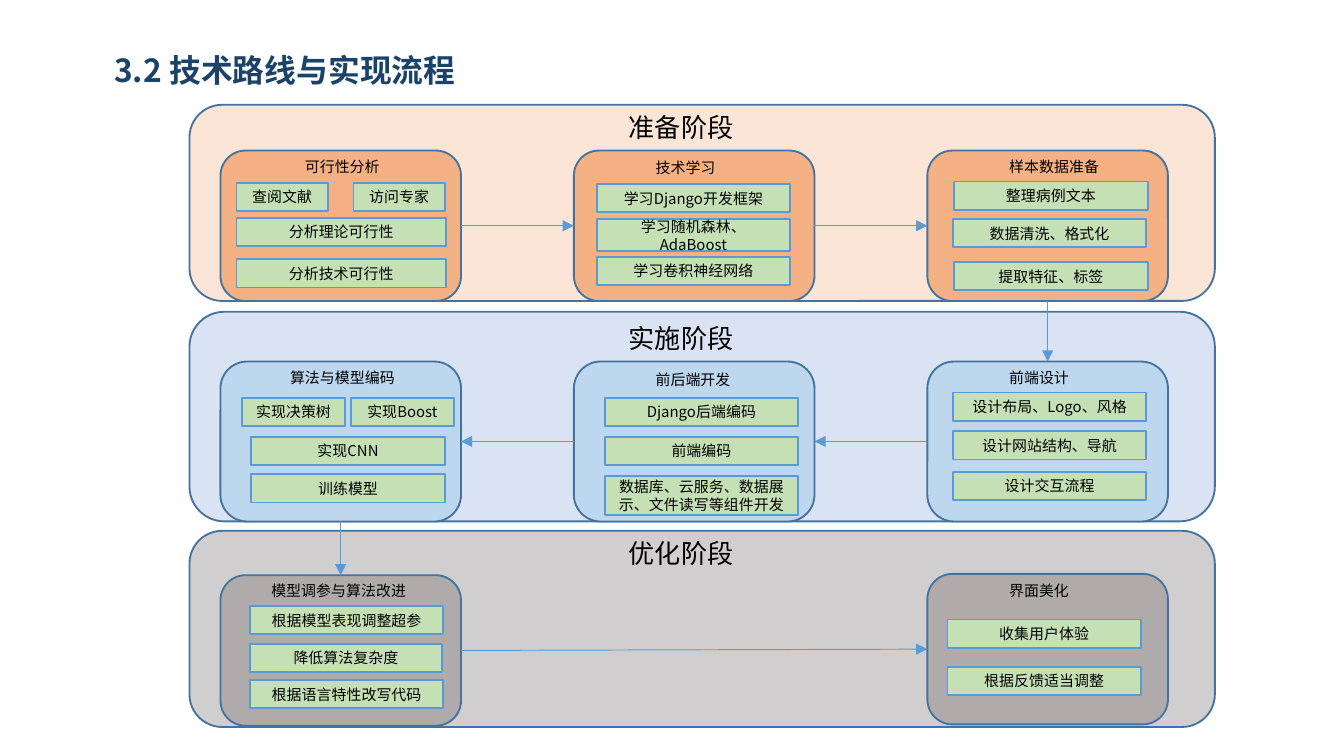
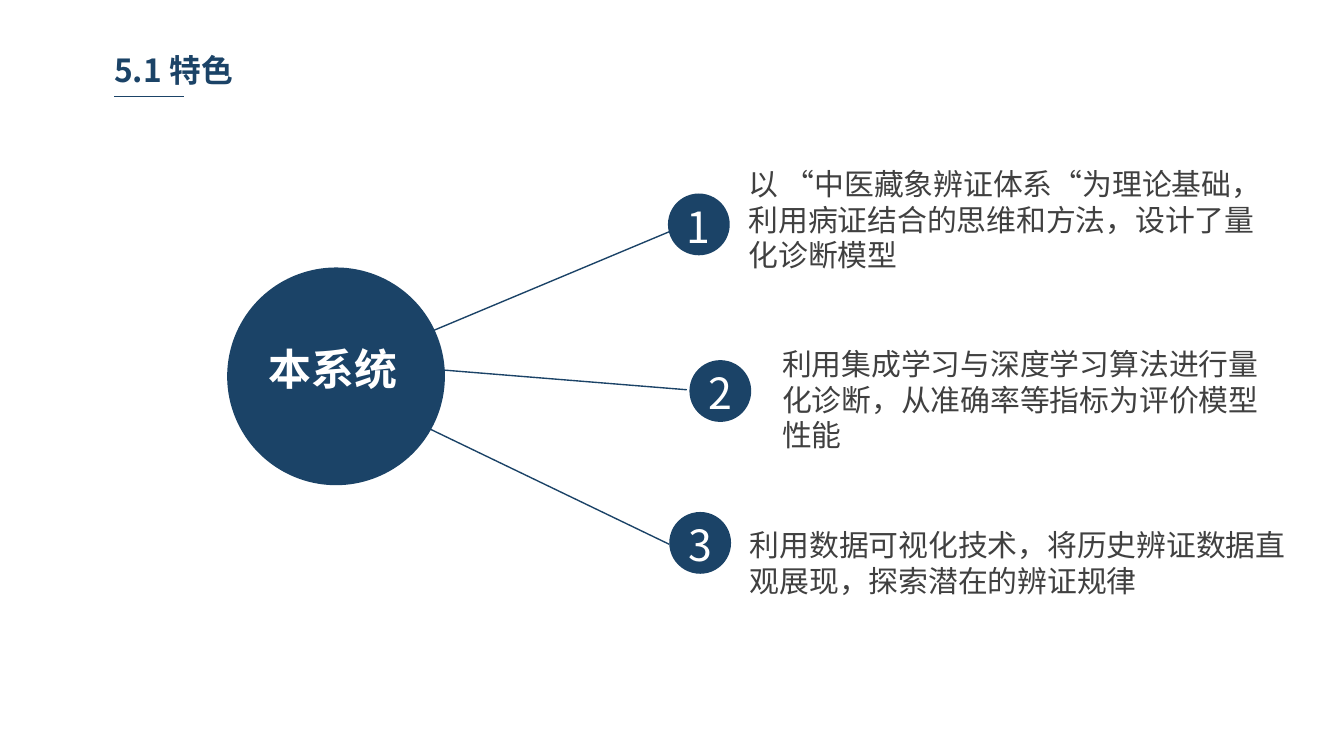
import pptx
import pptx.dml.color
import pptx.enum.shapes
import pptx.enum.text
import pptx.oxml.ns
import pptx.util
from lxml import etree

Inches = pptx.util.Inches
SHAPE = pptx.enum.shapes.MSO_SHAPE
ALIGN = pptx.enum.text.PP_ALIGN
ANCHOR = pptx.enum.text.MSO_ANCHOR
qn = pptx.oxml.ns.qn

FONT = "Noto Sans CJK SC"
NAVY, WHITE, BLACK, GREY = "1B4367", "FFFFFF", "000000", "404040"
FRAME, ARROW, TASK = "43739E", "5B9BD5", "C5E0B4"
TIGHT, NORMAL = (0.07, 0.04), (0.1, 0.05)
TOP, LEFT, BOTTOM, RIGHT = range(4)

COLUMN_LEFT, COLUMN_PITCH, MODULE_WIDTH = 1.64, 2.63, 1.79
PHASE_LEFT, PHASE_WIDTH = 1.41, 7.63

# Module: column, top in phase, height, label, label box (left, top, width),
# tasks (left, top, text, then width and height where they differ).
# Label and task positions are relative to the module.
PHASES = [
    ("准备阶段", 0.78, 1.46, 0, "FBE5D6", "F4B183", [
        (0, 0.34, 1.12, "可行性分析", (0.53, 0, 0.77), [
            (0.12, 0.24, "查阅文献", 0.68), (0.99, 0.24, "访问专家", 0.68),
            (0.12, 0.5, "分析理论可行性", 1.56),
            (0.12, 0.81, "分析技术可行性", 1.56)]),
        (1, 0.34, 1.12, "技术学习", (0.51, 0.01, 0.77), [
            (0.17, 0.25, "学习Django开发框架"),
            (0.17, 0.51, "学习随机森林、AdaBoost", 1.44, 0.24),
            (0.17, 0.79, "学习卷积神经网络")]),
        (2, 0.34, 1.12, "样本数据准备", (0.51, 0, 0.88), [
            (0.2, 0.23, "整理病例文本"),
            (0.19, 0.51, "数据清洗、格式化"),
            (0.2, 0.83, "提取特征、标签")]),
    ]),
    ("实施阶段", 2.32, 1.56, 0.03, "DAE3F3", "BDD7EE", [
        (2, 0.37, 1.19, "前端设计", (0.51, 0, 0.77), [
            (0.19, 0.23, "设计布局、Logo、风格"),
            (0.19, 0.52, "设计网站结构、导航"),
            (0.19, 0.82, "设计交互流程")]),
        (1, 0.37, 1.19, "前后端开发", (0.51, 0.02, 0.77), [
            (0.23, 0.27, "Django后端编码"),
            (0.23, 0.56, "前端编码"),
            (0.23, 0.85, "数据库、云服务、数据展示、文件读写等组件开发", 1.44, 0.29)]),
        (0, 0.37, 1.19, "算法与模型编码", (0.42, 0, 1.0), [
            (0.16, 0.27, "实现决策树", 0.77), (0.97, 0.27, "实现Boost", 0.77),
            (0.23, 0.56, "实现CNN"),
            (0.23, 0.84, "训练模型")]),
    ]),
    ("优化阶段", 3.95, 1.46, 0, "D0CECE", "AFABAB", [
        (0, 0.33, 1.12, "模型调参与算法改进", (0.28, 0, 1.22), [
            (0.22, 0.23, "根据模型表现调整超参"),
            (0.22, 0.51, "降低算法复杂度", 1.43),
            (0.22, 0.78, "根据语言特性改写代码")]),
        (2, 0.32, 1.12, "界面美化", (0.51, 0.01, 0.77), [
            (0.15, 0.34, "收集用户体验"),
            (0.15, 0.69, "根据反馈适当调整")]),
    ]),
]

# Bubble left and top, spoke start and end, text box, text.
FEATURES = [
    ((4.97, 1.44), (2.65, 2.7), (5.11, 1.67), (5.5, 1.19, 4.0, 0.88),
     "以 “中医藏象辨证体系“为理论基础，利用病证结合的思维和方法，设计了量化诊断模型"),
    ((5.13, 2.68), (2.64, 2.7), (5.11, 2.9), (5.75, 2.53, 3.88, 0.88),
     "利用集成学习与深度学习算法进行量化诊断，从准确率等指标为评价模型性能"),
    ((4.98, 3.81), (2.8, 3.0), (4.98, 4.05), (5.51, 3.88, 4.21, 0.61),
     "利用数据可视化技术，将历史辨证数据直观展现，探索潜在的辨证规律"),
]


def rgb(value):
    return pptx.dml.color.RGBColor.from_string(value)


def write(holder, text, size, color, bold=False, align=ALIGN.LEFT,
          anchor=ANCHOR.TOP, insets=NORMAL):
    frame = holder.text_frame
    frame.text = text
    frame.word_wrap = True
    frame.auto_size = pptx.enum.text.MSO_AUTO_SIZE.NONE
    frame.vertical_anchor = anchor
    frame.margin_left = frame.margin_right = Inches(insets[0])
    frame.margin_top = frame.margin_bottom = Inches(insets[1])
    paragraph = frame.paragraphs[0]
    paragraph.alignment = align
    paragraph.space_before = pptx.util.Pt(0)
    paragraph.line_spacing = pptx.util.Pt(size * 1.2)
    for run in paragraph.runs:
        run.font.name = FONT
        run.font.size = pptx.util.Pt(size)
        run.font.bold = bold
        run.font.color.rgb = rgb(color)
        east_asian = etree.Element(qn("a:ea"), typeface=FONT)
        run.font._element.find(qn("a:latin")).addnext(east_asian)


def add_text(shapes, box, text, size, color, **style):
    write(shapes.add_textbox(*map(Inches, box)), text, size, color, **style)


def add_block(shapes, kind, box, fill, line=None):
    block = shapes.add_shape(kind, *map(Inches, box))
    block.shadow.inherit = False
    block.fill.solid()
    block.fill.fore_color.rgb = rgb(fill)
    if line:
        block.line.color.rgb = rgb(line)
        block.line.width = pptx.util.Pt(1)
    else:
        block.line.fill.background()
    return block


def add_line(shapes, start, end, color, width):
    line = shapes.add_connector(pptx.enum.shapes.MSO_CONNECTOR.STRAIGHT,
                                *map(Inches, (*start, *end)))
    line.line.color.rgb = rgb(color)
    line.line.width = pptx.util.Pt(width)
    etree.SubElement(line._element.spPr, qn("a:effectLst"))
    return line


def add_arrow(shapes, source, source_side, target, target_side):
    arrow = add_line(shapes, (0, 0), (0, 0), ARROW, 0.5)
    arrow.begin_connect(source, source_side)
    arrow.end_connect(target, target_side)
    etree.SubElement(arrow.line._get_or_add_ln(), qn("a:tailEnd"), type="triangle")


def add_titled_slide(deck, text, width):
    slide = deck.slides.add_slide(deck.slide_layouts[5])
    title = slide.shapes.title
    title.left, title.top, title.width, title.height = map(
        Inches, (0.78, 0.34, width, 0.36))
    write(title, text, 17, NAVY, bold=True, insets=TIGHT)
    return slide


def add_task(shapes, left, top, text, width=1.44, height=0.21):
    task = add_block(shapes, SHAPE.RECTANGLE, (left, top, width, height), TASK, ARROW)
    write(task, text, 8, BLACK, align=ALIGN.CENTER, anchor=ANCHOR.MIDDLE)


def add_module(shapes, box, fill, label, label_box, tasks):
    left, top = box[:2]
    module = add_block(shapes, SHAPE.ROUNDED_RECTANGLE, box, fill, FRAME)
    label_left, label_top, label_width = label_box
    add_text(shapes, (left + label_left, top + label_top, label_width, 0.24),
             label, 8, BLACK)
    for task_left, task_top, *rest in tasks:
        add_task(shapes, left + task_left, top + task_top, *rest)
    return module


def add_phase(shapes, name, top, height, name_drop, fill, module_fill, modules):
    """Draw one stage band and return its modules in order of work."""
    add_block(shapes, SHAPE.ROUNDED_RECTANGLE,
              (PHASE_LEFT, top, PHASE_WIDTH, height), fill, FRAME)
    add_text(shapes, (4.58, top + name_drop, 1.1, 0.34), name, 14, BLACK)
    return [
        add_module(shapes,
                   (COLUMN_LEFT + column * COLUMN_PITCH, top + drop,
                    MODULE_WIDTH, module_height),
                   module_fill, *content)
        for column, drop, module_height, *content in modules]


def build_roadmap(deck):
    shapes = add_titled_slide(deck, "3.2 技术路线与实现流程", 2.98).shapes
    stages = [add_phase(shapes, *phase) for phase in PHASES]
    for stage in stages:
        for source, target in zip(stage, stage[1:]):
            rightward = source.left < target.left
            sides = (RIGHT, LEFT) if rightward else (LEFT, RIGHT)
            add_arrow(shapes, source, sides[0], target, sides[1])
    for stage, following in zip(stages, stages[1:]):
        add_arrow(shapes, stage[-1], BOTTOM, following[0], TOP)


def add_disc(shapes, left, top, size, text, text_left, text_top, bold=False):
    """Group a navy disc with its caption, placed relative to the disc."""
    disc = shapes.add_group_shape().shapes
    add_block(disc, SHAPE.OVAL, (left, top, size, size), NAVY)
    add_text(disc, (left + text_left, top + text_top, size, 0.49), text, 23, WHITE,
             bold=bold, align=ALIGN.CENTER)


def build_features(deck):
    shapes = add_titled_slide(deck, "5.1 特色", 2.47).shapes
    add_line(shapes, (0.85, 0.72), (1.37, 0.72), NAVY, 0.75)
    for _, start, end, _, _ in FEATURES:
        add_line(shapes, start, end, NAVY, 0.75)
    for number, (bubble, _, _, box, text) in enumerate(FEATURES, 1):
        add_disc(shapes, *bubble, 0.46, str(number), 0, 0)
        add_text(shapes, box, text, 16, GREY, insets=TIGHT)
    add_disc(shapes, 1.69, 1.99, 1.62, "本系统", -0.02, 0.51, bold=True)


def main():
    deck = pptx.Presentation()
    deck.slide_width = Inches(10)
    deck.slide_height = deck.slide_width * 9 // 16
    build_roadmap(deck)
    build_features(deck)
    deck.save("out.pptx")


if __name__ == "__main__":
    main()
